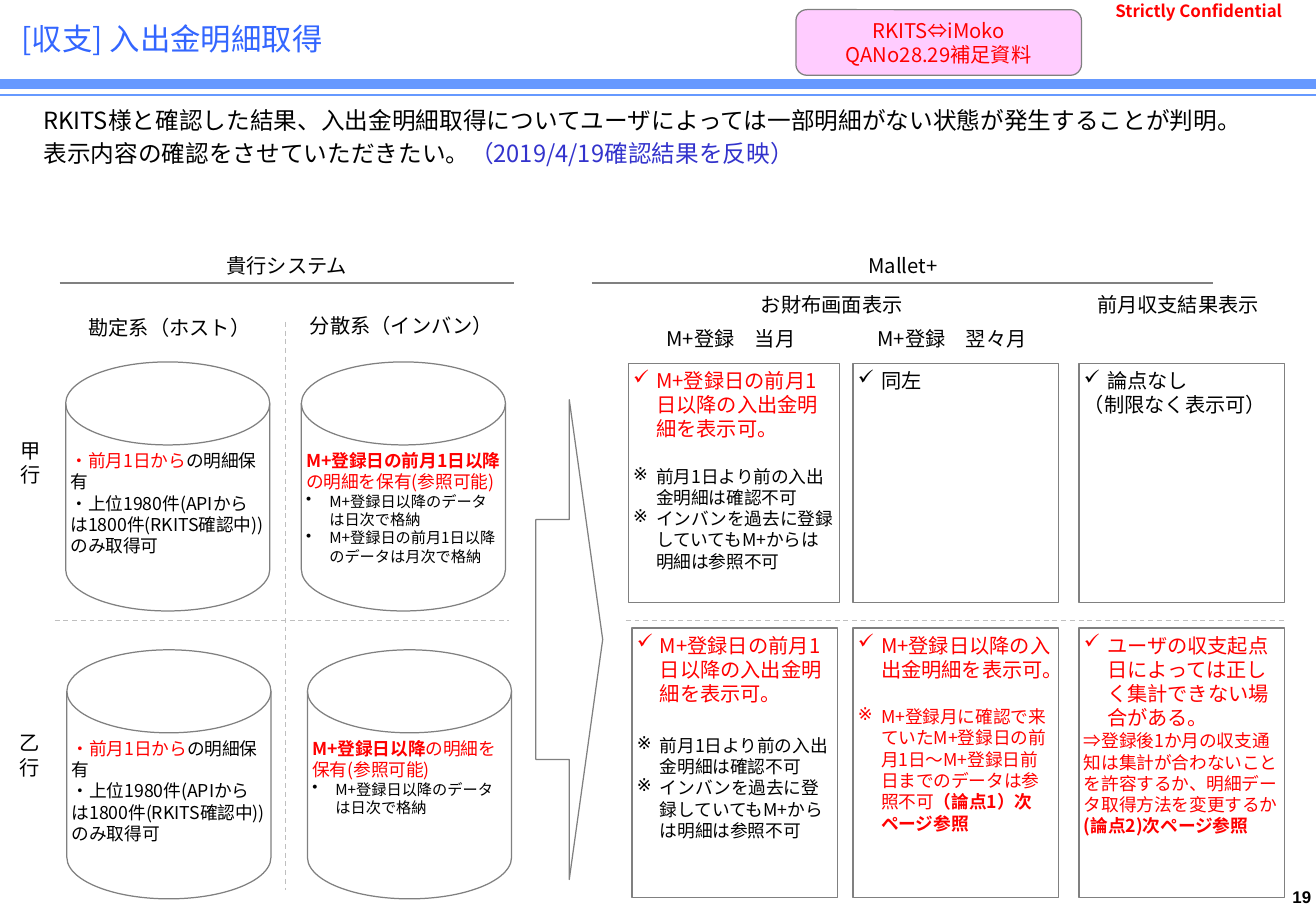
from lxml import etree
from pptx import Presentation
from pptx.dml.color import RGBColor
from pptx.enum.dml import MSO_LINE
from pptx.enum.shapes import MSO_CONNECTOR, MSO_SHAPE
from pptx.enum.text import MSO_ANCHOR, PP_ALIGN
from pptx.oxml.ns import qn
from pptx.util import Inches, Pt

RECT, ROUND = MSO_SHAPE.RECTANGLE, MSO_SHAPE.ROUNDED_RECTANGLE
DISK, ARROW = MSO_SHAPE.FLOWCHART_MAGNETIC_DISK, MSO_SHAPE.RIGHT_ARROW
STRAIGHT, DASH = MSO_CONNECTOR.STRAIGHT, MSO_LINE.DASH
LEFT, CENTER, RIGHT = PP_ALIGN.LEFT, PP_ALIGN.CENTER, PP_ALIGN.RIGHT
TOP, MIDDLE = MSO_ANCHOR.TOP, MSO_ANCHOR.MIDDLE
FONT = "Noto Sans CJK JP"
BLACK, WHITE, RED, GRAY, PALE = "000000", "FFFFFF", "FF0000", "808080", "BFBFBF"
BLUE, TITLE_BLUE, NOTE_BLUE, PINK = "6699FF", "3366FF", "3333CC", "FFCCFF"
LINE_RATIO = 1.2
INDENT = 0.19


# Content: a span is (text, size, colour, bold)
def span(text, size=12, color=BLACK, bold=False):
    return text, size, color, bold


# Content: a paragraph is (bullet, space before in points, spans)
def para(*spans, bullet=None, before=0):
    return bullet, before, spans


def check(text, color=RED):
    return para(span(text, 12, color), bullet="✓")


def remark(*spans, before=0):
    return para(*spans, bullet="※", before=before)


def stored(text):
    return para(span(text, 9), bullet="•")


def distributed(period):
    return para(span(period, 10.5, RED, True), span("の明細を保有(参照可能)", 10.5, RED))


def current_month(gap):
    return [check("M+登録日の前月1日以降の入出金明細を表示可。"),
            remark(span("前月1日より前の入出金明細は確認不可", 10.5), before=gap),
            remark(span("インバンを過去に登録していてもM+からは明細は参照不可", 10.5))]


TITLE = [para(span("[収支] 入出金明細取得", 18, TITLE_BLUE))]
LEAD = [
    para(span("RKITS様と確認した結果、入出金明細取得についてユーザによっては一部明細がない状態が発生することが判明。", 14)),
    para(span("表示内容の確認をさせていただきたい。", 14),
         span("（2019/4/19確認結果を反映）", 14, NOTE_BLUE), before=2.8),
]
BADGE = [para(span("RKITS⇔iMoko", 12, RED)), para(span("QANo28.29補足資料", 12, RED))]
HOST = [
    para(span("・前月1日から", 10.5, RED), span("の明細保有", 10.5)),
    para(span("・上位1980件(APIからは1800件(RKITS確認中))のみ取得可", 10.5)),
]
DAILY = stored("M+登録日以降のデータは日次で格納")
MONTHLY = stored("M+登録日の前月1日以降のデータは月次で格納")

# Headings: text, left, top, width, height
HEADINGS = [
    ("貴行システム", 0.49, 2.04, 3.74, 0.29),
    ("Mallet+", 4.87, 2.04, 5.12, 0.29),
    ("勘定系（ホスト）", 0.57, 2.48, 1.65, 0.44),
    ("分散系（インバン）", 2.48, 2.46, 1.65, 0.44),
    ("お財布画面表示", 5.74, 2.39, 2.21, 0.24),
    ("前月収支結果表示", 8.85, 2.39, 1.69, 0.24),
    ("M+登録　当月", 5.17, 2.67, 1.69, 0.24),
    ("M+登録　翌々月", 6.99, 2.67, 1.69, 0.24),
    ("甲行", 0.06, 2.98, 0.39, 1.65),
    ("乙行", 0.05, 5.16, 0.39, 2.11),
]
# Data stores: left, top, paragraphs
DISK_SIZE = (1.68, 2.05)
DISKS = [
    (0.54, 2.98, HOST),
    (2.48, 2.98, [distributed("M+登録日の前月1日以降"), DAILY, MONTHLY]),
    (0.55, 5.35, HOST),
    (2.53, 5.35, [distributed("M+登録日以降"), DAILY]),
]
# Result rows: top, height, then one (left, width, paragraphs) per column
RESULTS = [
    (2.99, 1.97, [
        (5.17, 1.74, current_month(14.5)),
        (7.02, 1.69, [check("同左", BLACK)]),
        (8.88, 1.69, [check("論点なし", BLACK), para(span("（制限なく表示可）"))]),
    ]),
    (5.17, 2.22, [
        (5.2, 1.69, current_month(17)),
        (7.02, 1.69, [
            check("M+登録日以降の入出金明細を表示可。"),
            remark(span("M+登録月に確認で来ていたM+登録日の前月1日～M+登録日前日までのデータは参照不可", 10.5, RED),
                   span("（論点1）次ページ参照", 10.5, RED, True), before=14.5),
        ]),
        (8.88, 1.69, [
            check("ユーザの収支起点日によっては正しく集計できない場合がある。"),
            para(span("⇒登録後1か月の収支通知は集計が合わないことを許容するか、明細データ取得方法を変更するか", 10.5, RED)),
            para(span("(論点2)次ページ参照", 10.5, RED, True)),
        ]),
    ]),
]
# Lines: start x, start y, end x, end y, colour, width, dash
LINES = [
    (0, 0.69, 10.83, 0.69, BLUE, 6, None),
    (0, 0.78, 10.83, 0.78, BLUE, 1, None),
    (0.49, 2.33, 4.23, 2.33, GRAY, 0.75, None),
    (4.87, 2.33, 9.98, 2.33, GRAY, 0.75, None),
    (2.35, 2.65, 2.35, 7.33, PALE, 0.75, DASH),
    (0.45, 5.11, 4.19, 5.11, PALE, 0.75, DASH),
    (5.15, 5.11, 10.59, 5.11, PALE, 0.75, DASH),
]

deck = Presentation()
deck.slide_width, deck.slide_height = Inches(10.83), Inches(7.5)
page = deck.slides.add_slide(deck.slide_layouts[6])


def rgb(color):
    return RGBColor.from_string(color)


def write(box, paras, align=LEFT, anchor=TOP, wrap=True, inset=(0.04, 0.04), font=FONT):
    frame = box.text_frame
    side, edge = Inches(inset[0]), Inches(inset[1])
    settings = dict(word_wrap=wrap, vertical_anchor=anchor, margin_left=side,
                    margin_right=side, margin_top=edge, margin_bottom=edge)
    for name, value in settings.items():
        setattr(frame, name, value)
    for index, (bullet, before, spans) in enumerate(paras):
        paragraph = frame.add_paragraph() if index else frame.paragraphs[0]
        if bullet:
            properties = paragraph._p.get_or_add_pPr()
            properties.set("marL", str(Inches(INDENT)))
            properties.set("indent", str(-Inches(INDENT)))
            etree.SubElement(properties, qn("a:buChar")).set("char", bullet)
        paragraph.alignment = align
        paragraph.line_spacing = Pt(round(spans[0][1] * LINE_RATIO, 1))
        paragraph.space_before = Pt(before)
        for text, size, color, bold in spans:
            run = paragraph.add_run()
            run.text = text
            for name, value in dict(size=Pt(size), bold=bold, name=font).items():
                setattr(run.font, name, value)
            run.font.color.rgb = rgb(color)
            etree.SubElement(run._r.get_or_add_rPr(), qn("a:ea")).set("typeface", font)


def add_text(place, paras, **layout):
    write(page.shapes.add_textbox(*map(Inches, place)), paras, **layout)


def add_box(kind, place, paras=(), fill=WHITE, **layout):
    box = page.shapes.add_shape(kind, *map(Inches, place))
    box.shadow.inherit = False
    box.fill.solid()
    box.fill.fore_color.rgb = rgb(fill)
    box.line.color.rgb = rgb(GRAY)
    box.line.width = Pt(0.75)
    if paras:
        write(box, paras, **layout)


def add_line(x1, y1, x2, y2, color, width, dash):
    line = page.shapes.add_connector(STRAIGHT, *map(Inches, (x1, y1, x2, y2)))
    line.line.color.rgb = rgb(color)
    line.line.width = Pt(width)
    if dash:
        line.line.dash_style = dash
    etree.SubElement(line._element.spPr, qn("a:effectLst"))


# Rules and dividers
for rule in LINES:
    add_line(*rule)

# Title, lead text, badge and page marks
add_text((0.08, 0.06, 10.38, 0.51), TITLE, anchor=MIDDLE, inset=(0.1, 0.05))
add_text((0.26, 0.82, 10.32, 0.64), LEAD, inset=(0.1, 0.05))
add_box(ROUND, (6.55, 0.08, 2.35, 0.54), BADGE, fill=PINK,
        align=CENTER, anchor=MIDDLE, wrap=False)
add_text((9.1, 0.04, 1.76, 0.1), [para(span("Strictly Confidential", 10, RED, True))],
         anchor=MIDDLE, inset=(0.08, 0.04))
add_text((10.51, 7.26, 0.32, 0.25), [para(span("19", 10, BLACK, True))],
         align=RIGHT, wrap=False, font="Arial")

# Column and row headings
for heading, *place in HEADINGS:
    add_text(place, [para(span(heading))], align=CENTER, anchor=MIDDLE, wrap=False)

# Data stores, flow arrow and results
for left, top, paras in DISKS:
    add_box(DISK, (left, top, *DISK_SIZE), paras)
add_box(ARROW, (4.41, 3.29, 0.55, 3.95))
for top, height, cells in RESULTS:
    for left, width, paras in cells:
        add_box(RECT, (left, top, width, height), paras)

deck.save("out.pptx")
